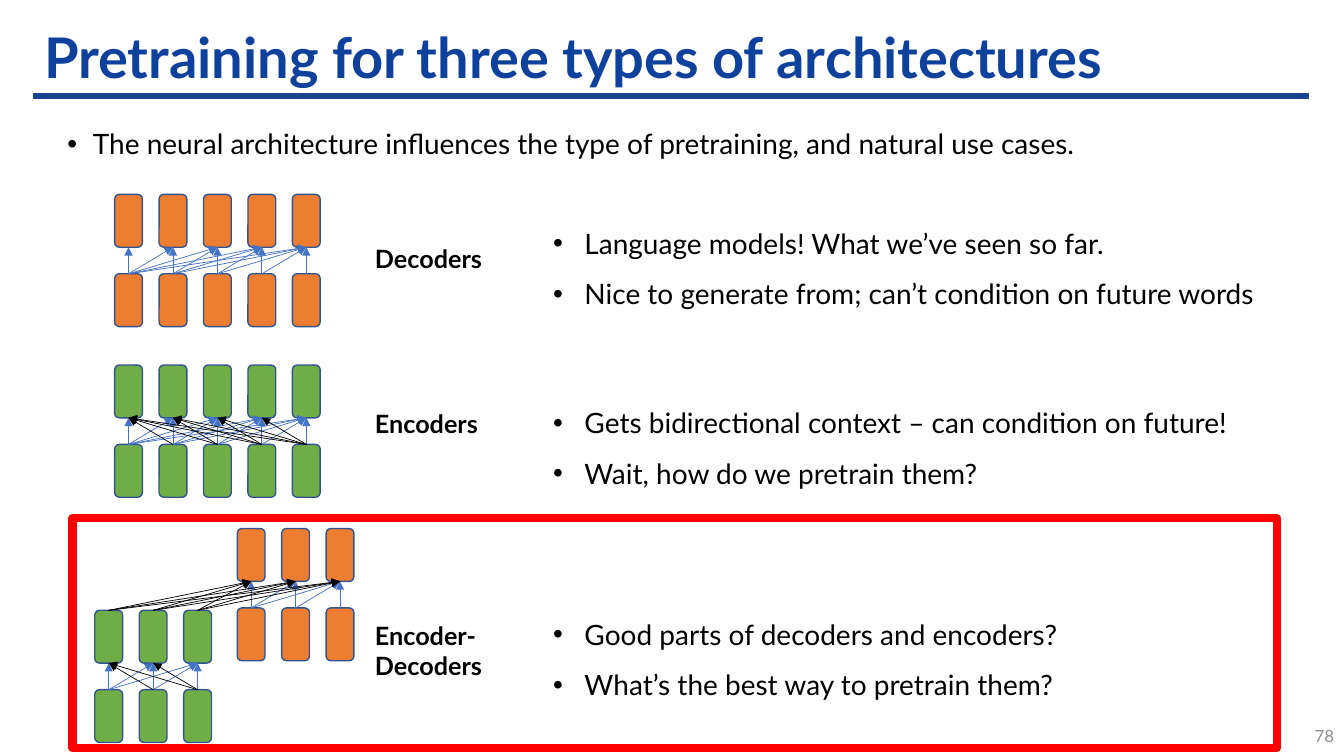
"""Build the slide on pretraining for three types of architectures."""
import lxml.etree
import pptx
import pptx.dml.color
import pptx.enum.shapes
import pptx.enum.text
import pptx.oxml.ns
import pptx.util

Cm, Pt = pptx.util.Cm, pptx.util.Pt
SHAPE = pptx.enum.shapes.MSO_SHAPE
ALIGN = pptx.enum.text.PP_ALIGN
ANCHOR = pptx.enum.text.MSO_ANCHOR
qn = pptx.oxml.ns.qn

HUES = {
    "title": "0E419C", "rule": "174593", "text": "000000", "page": "8C8C8C",
    "orange": "ED7D31", "green": "70AD47", "edge": "325491",
    "ahead": "4472C4", "back": "000000", "frame": "FF0000",
}
PITCH, RISE = 1.12, 2.0
WIDE, HIGH = 0.7, 1.33


def hue(name):
    """Return the named colour."""
    return pptx.dml.color.RGBColor.from_string(HUES[name])


def add_box(slide, kind, area, fill, edge, width):
    """Draw a preset shape; a fill of None leaves it open."""
    box = slide.shapes.add_shape(kind, *map(Cm, area))
    box.shadow.inherit = False
    if fill:
        box.fill.solid()
        box.fill.fore_color.rgb = hue(fill)
    else:
        box.fill.background()
    box.line.color.rgb = hue(edge)
    box.line.width = Pt(width)
    return box


def add_text(slide, area, lines, size, color="text", bold=False, align=ALIGN.LEFT,
             anchor=ANCHOR.TOP, space=1.0, indent=None):
    """Write paragraphs in a box, with bullets when an indent is given."""
    frame = slide.shapes.add_textbox(*map(Cm, area)).text_frame
    frame.word_wrap = True
    frame.vertical_anchor = anchor
    for rank, line in enumerate(lines):
        para = frame.add_paragraph() if rank else frame.paragraphs[0]
        para.text = line
        para.alignment = align
        para.line_spacing = space
        if indent:
            props = para._p.get_or_add_pPr()
            props.set("marL", str(Cm(indent)))
            props.set("indent", str(-Cm(indent)))
            font = lxml.etree.SubElement(props, qn("a:buFont"))
            font.set("typeface", "Arial")
            mark = lxml.etree.SubElement(props, qn("a:buChar"))
            mark.set("char", "•")
        para.font.name = "Lato"
        para.font.size = Pt(size)
        para.font.bold = bold
        para.font.color.rgb = hue(color)


def add_arrow(slide, start, end, color):
    """Join the top of one block to the bottom of another."""
    arrow = slide.shapes.add_connector(
        pptx.enum.shapes.MSO_CONNECTOR.STRAIGHT, 0, 0, 0, 0)
    arrow.begin_connect(start, 0)
    arrow.end_connect(end, 2)
    arrow.line.color.rgb = hue(color)
    arrow.line.width = Pt(0.5)
    tip = lxml.etree.SubElement(arrow.line._get_or_add_ln(), qn("a:tailEnd"))
    tip.set("type", "triangle")
    lxml.etree.SubElement(arrow._element.spPr, qn("a:effectLst"))


def add_net(slide, left, top, count, fill, both=False):
    """Draw two rows of blocks with arrows ahead, or both ways; return the top row."""
    upper, lower = [
        [add_box(slide, SHAPE.ROUNDED_RECTANGLE,
                 (left + col * PITCH, top + row * RISE, WIDE, HIGH), fill, "edge", 1)
         for col in range(count)]
        for row in range(2)]
    for low in range(count):
        for high in range(low, count):
            add_arrow(slide, lower[low], upper[high], "ahead")
    if both:
        for low in range(count):
            for high in range(low):
                add_arrow(slide, lower[low], upper[high], "back")
    return upper


def main():
    """Build and save the slide."""
    deck = pptx.Presentation()
    deck.slide_width, deck.slide_height = Cm(33.87), Cm(19.05)
    slide = deck.slides.add_slide(deck.slide_layouts[6])

    add_box(slide, SHAPE.RECTANGLE, (0.86, 2.36, 32.11, 0.13), "rule", "rule", 1)
    add_text(slide, (0.86, 0.66, 32.11, 1.7),
             ["Pretraining for three types of architectures"], 40, "title",
             bold=True, anchor=ANCHOR.MIDDLE, space=0.9)
    add_text(slide, (1.45, 3.07, 30.73, 1.35),
             ["The neural architecture influences the type of pretraining, "
              "and natural use cases."], 20, indent=0.64)
    add_text(slide, (32.18, 18.03, 1.69, 1.02), ["78"], 12, "page",
             align=ALIGN.RIGHT, anchor=ANCHOR.MIDDLE)

    add_net(slide, 2.89, 4.9, 5, "orange")
    add_net(slide, 2.89, 9.2, 5, "green", both=True)

    kinds = [
        ("Decoders", 6.0, 5.16,
         ["Language models! What we’ve seen so far.",
          "Nice to generate from; can’t condition on future words"]),
        ("Encoders", 10.16, 9.68,
         ["Gets bidirectional context – can condition on future!",
          "Wait, how do we pretrain them?"]),
        ("Encoder-Decoders", 15.5, 15.01,
         ["Good parts of decoders and encoders?",
          "What’s the best way to pretrain them?"]),
    ]
    for name, high, top, notes in kinds:
        add_text(slide, (9.2, high, 3.6, 1.02), [name], 18, bold=True)
        add_text(slide, (13.69, top, 18.85, 2.64), notes, 20, space=1.5, indent=0.79)

    heads = add_net(slide, 5.98, 13.32, 3, "orange")
    codes = add_net(slide, 2.39, 15.38, 3, "green", both=True)
    for head in heads:
        for code in codes:
            add_arrow(slide, code, head, "back")
    add_box(slide, SHAPE.RECTANGLE, (1.83, 13.06, 30.35, 5.79), None, "frame", 6)
    deck.save("out.pptx")


if __name__ == "__main__":
    main()
